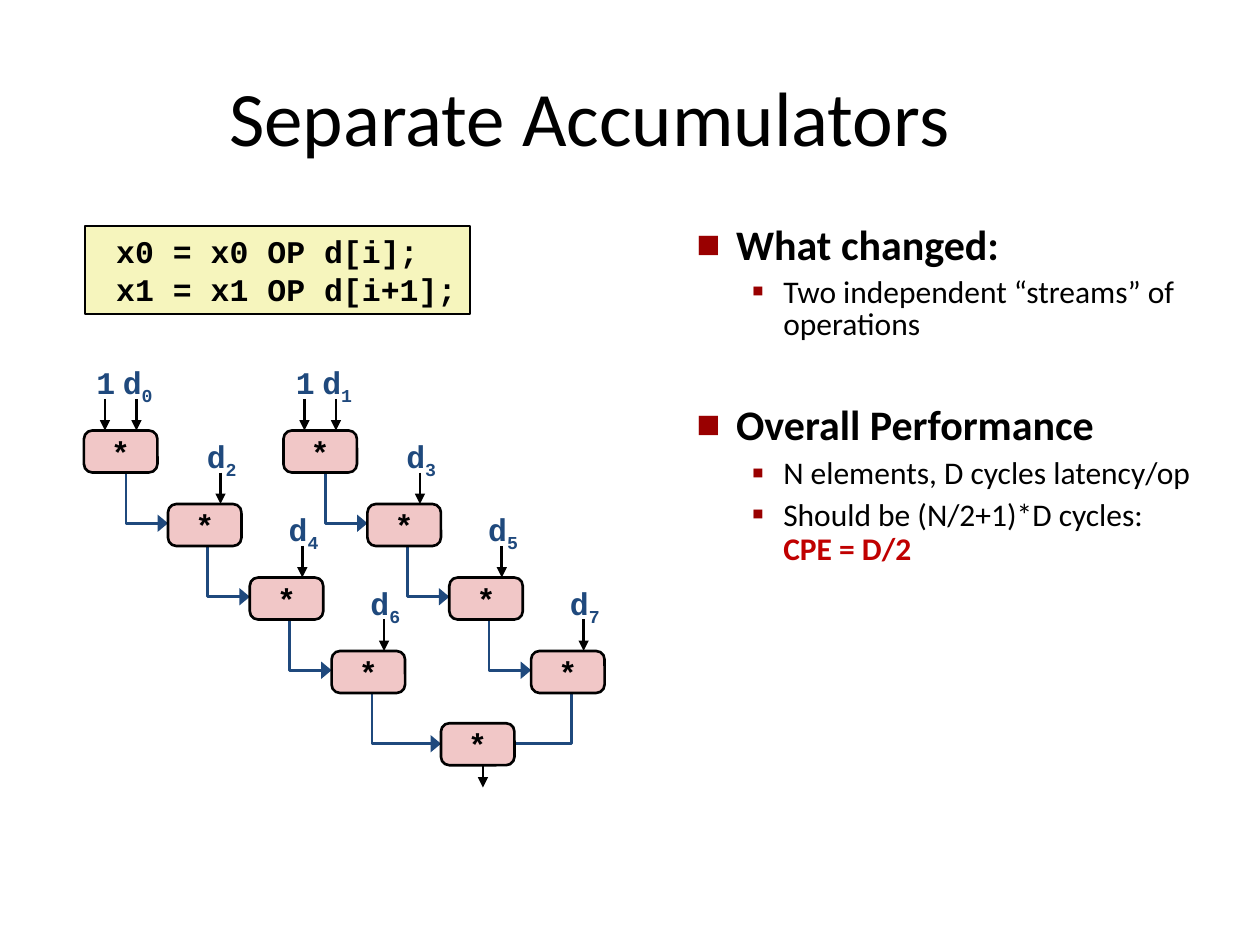
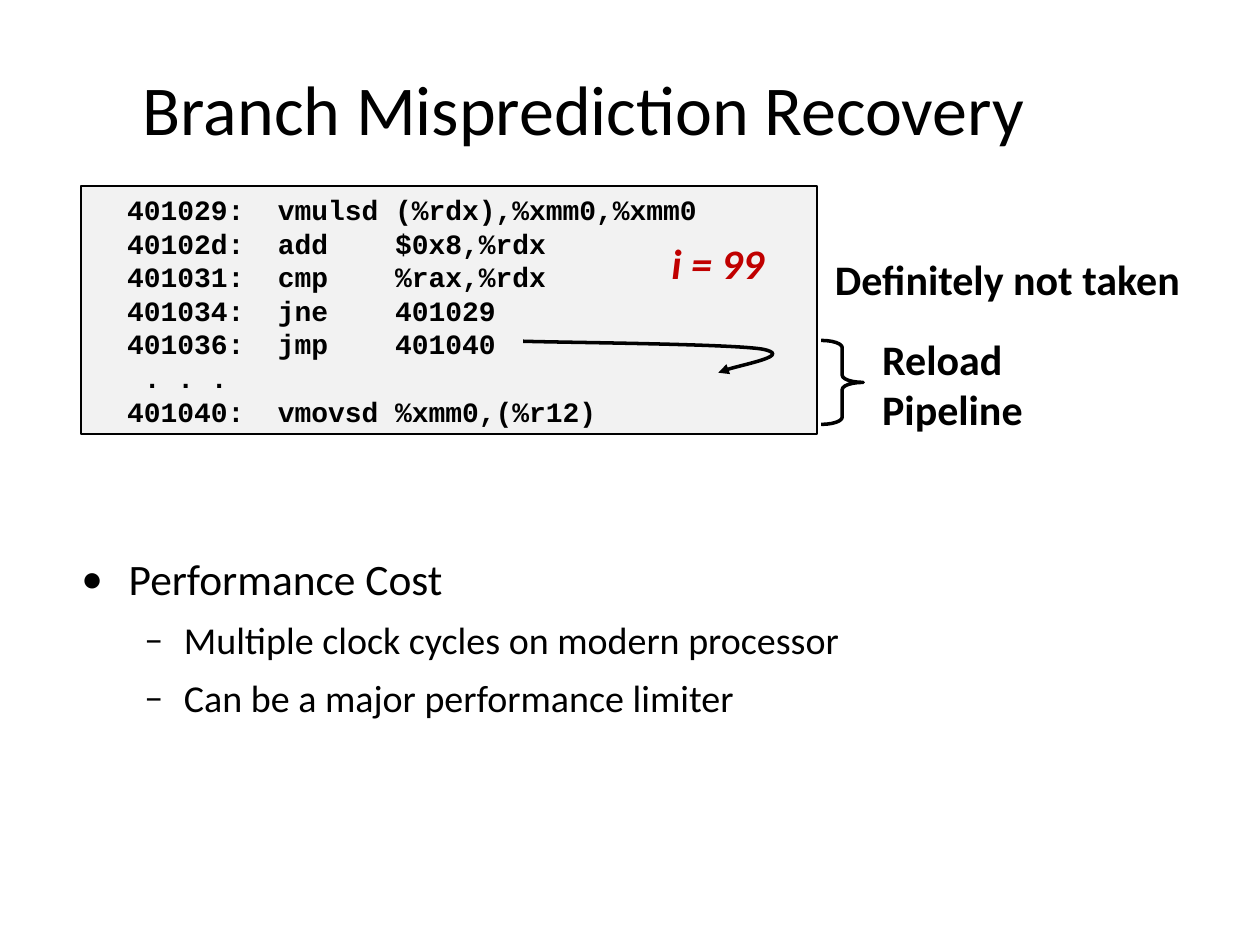
"""Build two slides on separate accumulators and branch misprediction recovery."""
from dataclasses import dataclass

from lxml.etree import SubElement
from pptx import Presentation
from pptx.dml.color import RGBColor
from pptx.enum.shapes import MSO_CONNECTOR, MSO_SHAPE
from pptx.enum.text import MSO_ANCHOR, PP_ALIGN
from pptx.oxml.ns import qn
from pptx.util import Pt


@dataclass(frozen=True)
class Theme:
    ink: str = "000000"
    navy: str = "1F497D"
    red: str = "C00000"
    bullet: str = "990000"
    pink: str = "F1C7C7"
    cream: str = "F6F5BD"
    grey: str = "F2F2F2"
    sans: str = "Calibri"
    mono: str = "Courier New"
    title_large: float = 44
    title_small: float = 40
    heading: float = 24
    detail: float = 18
    cost: float = 24.8
    cost_detail: float = 21.7
    code: float = 18
    listing: float = 16
    thin: float = 1
    medium: float = 1.5
    thick: float = 2


theme = Theme()


def write(box, paragraphs, font, wrap=False, anchor=MSO_ANCHOR.TOP, side=7.2):
    """Fill a box with (spans, paragraph format, bullet) entries."""
    frame = box.text_frame
    frame_format = {"word_wrap": wrap, "vertical_anchor": anchor, "margin_left": Pt(side),
                    "margin_right": Pt(side), "margin_top": Pt(3.6), "margin_bottom": Pt(3.6)}
    for name, value in frame_format.items():
        setattr(frame, name, value)
    for index, (spans, para_format, bullet) in enumerate(paragraphs):
        para = frame.paragraphs[0] if index == 0 else frame.add_paragraph()
        if bullet:
            properties = para._p.get_or_add_pPr()
            properties.set("marL", str(Pt(bullet["left"])))
            properties.set("indent", str(-Pt(bullet["hang"])))
            color = SubElement(properties, qn("a:buClr"))
            SubElement(color, qn("a:srgbClr"), val=bullet["color"])
            SubElement(properties, qn("a:buSzPct"), val=str(bullet["percent"] * 1000))
            SubElement(properties, qn("a:buFont"), typeface=theme.sans)
            SubElement(properties, qn("a:buChar"), char=bullet["char"])
        for name, value in {"alignment": PP_ALIGN.LEFT, **para_format}.items():
            setattr(para, name, value)
        for text, changes in spans:
            span = para.add_run()
            span.text = text.rstrip("\n")
            look = {**font, **changes}
            span.font.color.rgb = RGBColor.from_string(look.pop("color", theme.ink))
            if look.pop("subscript", False):
                span._r.get_or_add_rPr().set("baseline", "-25000")
            span.font.size = Pt(look.pop("size"))
            for name, value in look.items():
                setattr(span.font, name, value)
            if text.endswith("\n"):
                para.add_line_break()


def outline(shape, color, weight, head=None, fill=None):
    """Set line, arrowhead width and fill, and remove the shadow."""
    shape.line.color.rgb = RGBColor.from_string(color)
    shape.line.width = Pt(weight)
    if head:
        SubElement(shape.line._get_or_add_ln(), qn("a:tailEnd"), type="triangle", w=head)
    if fill:
        shape.fill.solid()
        shape.fill.fore_color.rgb = RGBColor.from_string(fill)
    elif hasattr(shape, "fill"):
        shape.fill.background()
    SubElement(shape._element.spPr, qn("a:effectLst"))


deck = Presentation()
deck.slide_width, deck.slide_height = Pt(720), Pt(540)
centred = {"alignment": PP_ALIGN.CENTER}
code_font = {"name": theme.mono, "size": theme.code, "bold": True}
operand_font = {**code_font, "color": theme.navy}
heading_font = {"name": theme.sans, "size": theme.heading, "bold": True}

titles = [("Separate Accumulators", theme.title_large, (38, 36, 598, 60)),
          ("Branch Misprediction Recovery", theme.title_small, (36, 39, 595, 45))]
slides = []
for text, size, place in titles:
    slide = deck.slides.add_slide(deck.slide_layouts[6])
    title = slide.shapes.add_textbox(*map(Pt, place))
    write(title, [([(text, {})], centred, None)], {"name": theme.sans, "size": size},
          wrap=True, anchor=MSO_ANCHOR.MIDDLE)
    slides.append(slide)
accumulators, recovery = (slide.shapes for slide in slides)

code_boxes = [
    (accumulators, (48.5, 129, 220, 50.5), theme.cream, theme.code,
     [" x0 = x0 OP d[i];", " x1 = x1 OP d[i+1];"]),
    (recovery, (46.5, 106.5, 420.5, 141.5), theme.grey, theme.listing,
     ["  401029:  vmulsd (%rdx),%xmm0,%xmm0",
      "  40102d:  add    $0x8,%rdx",
      "  401031:  cmp    %rax,%rdx",
      "  401034:  jne    401029",
      "  401036:  jmp    401040",
      "   . . .",
      "  401040:  vmovsd %xmm0,(%r12)"]),
]
for shapes, place, fill, size, lines in code_boxes:
    code_box = shapes.add_shape(MSO_SHAPE.RECTANGLE, *map(Pt, place))
    outline(code_box, theme.ink, theme.thin, fill=fill)
    write(code_box, [([(line, {})], {}, None) for line in lines], {**code_font, "size": size})

node_width, node_height = 42, 24
chain_lefts = (48, 162)
node_offsets = (0, 48, 94.75, 141.5)
first_top, row_step, drop = 246, 42, 18
merge_left, merge_top = 252, 413.25
merge_middle = 425

nodes = [(merge_left, merge_top)]
arrows = [(276, 432, 450)]
operands = []
elbows = []
for chain, chain_left in enumerate(chain_lefts):
    for row, offset in enumerate(node_offsets):
        left, top = chain_left + offset, first_top + row * row_step
        nodes.append((left, top))
        arrows.append((left + 30, top - drop, top))
        operands.append((left + 18.5, top - 42, 24.5,
                         [("d", {}), (str(2 * row + chain), {"subscript": True})]))
        if row == 0:
            arrows.append((left + 12, top - drop, top))
            operands.append((left + 3.5, top - 42, 18, [("1", {})]))
        else:
            elbows.append((left - 24, top - drop, top + 11, left, "lg"))
    merge_edge = merge_left + chain * node_width
    elbows.append((left + 23, top + node_height, merge_middle, merge_edge,
                   "lg" if chain == 0 else None))

for x, start, end in arrows:
    arrow = accumulators.add_connector(MSO_CONNECTOR.STRAIGHT, Pt(x), Pt(start), Pt(x), Pt(end))
    outline(arrow, theme.ink, theme.medium, head="med")
for x, start, bend, end, head in elbows:
    builder = accumulators.build_freeform(Pt(x), Pt(start))
    builder.add_line_segments([(Pt(x), Pt(bend)), (Pt(end), Pt(bend))], close=False)
    outline(builder.convert_to_shape(), theme.navy, theme.medium, head=head)
for left, top in nodes:
    node = accumulators.add_shape(MSO_SHAPE.ROUNDED_RECTANGLE, Pt(left), Pt(top),
                                  Pt(node_width), Pt(node_height))
    node.adjustments[0] = 0.2
    outline(node, theme.ink, theme.medium, fill=theme.pink)
    write(node, [([("*", {})], centred, None)], code_font, anchor=MSO_ANCHOR.MIDDLE)
for left, top, width, spans in operands:
    operand = accumulators.add_textbox(Pt(left), Pt(top), Pt(width), Pt(31))
    write(operand, [(spans, centred, None)], operand_font, side=3.6)

square = {"left": 22.5, "hang": 22.5, "color": theme.bullet, "percent": 60, "char": "■"}
small_square = {"left": 49.5, "hang": 18, "color": theme.bullet, "percent": 110, "char": "▪"}
detail = {"size": theme.detail, "bold": False}
detail_format = {"level": 1, "line_spacing": 0.9, "space_before": Pt(4.5)}
notes = accumulators.add_textbox(Pt(391), Pt(126), Pt(311), Pt(246))
write(notes, [
    ([("What changed:", {})], {"line_spacing": 0.85}, square),
    ([("Two independent “streams” of operations", detail)],
     {**detail_format, "line_spacing": 0.85}, small_square),
    ([("Overall Performance", {})], {"line_spacing": 0.85, "space_before": Pt(37)}, square),
    ([("N elements, D cycles latency/op", detail)], detail_format, small_square),
    ([("Should be (N/2+1)*D cycles:\n", detail),
      ("CPE = D/2", {"size": theme.detail, "color": theme.red})], detail_format, small_square),
], heading_font, wrap=True)

dot = {"left": 27, "hang": 27, "color": theme.ink, "percent": 100, "char": "•"}
dash = {"left": 58.5, "hang": 22.5, "color": theme.ink, "percent": 100, "char": "–"}
cost_format = {"level": 1, "space_before": Pt(7)}
cost = recovery.add_textbox(Pt(39.5), Pt(312), Pt(631), Pt(108))
write(cost, [
    ([("Performance Cost", {"size": theme.cost})], {}, dot),
    ([("Multiple clock cycles on modern processor", {})], cost_format, dash),
    ([("Can be a major performance limiter", {})], cost_format, dash),
], {"name": theme.sans, "size": theme.cost_detail}, wrap=True)

callouts = [((376.5, 132, 76, 36), ["i = 99"], {"color": theme.red, "italic": True}),
            ((470, 141.25, 220, 36), ["Definitely not taken"], {}),
            ((497, 186.75, 104, 65), ["Reload", "Pipeline"], {})]
for place, lines, changes in callouts:
    callout = recovery.add_textbox(*map(Pt, place))
    write(callout, [([(line, changes)], {}, None) for line in lines], heading_font)

curve_points = [(322, 195.75), (417, 196.5), (435.5, 199.5),
                (453.5, 203), (415.5, 210), (410.5, 213)]
builder = recovery.build_freeform(Pt(299), Pt(195))
builder.add_line_segments([(Pt(x), Pt(y)) for x, y in curve_points], close=False)
jump = builder.convert_to_shape()
outline(jump, theme.ink, theme.thick, head="med")
segments = list(jump._element.iter(qn("a:lnTo")))
curve = segments[0].getparent()
for start in range(0, len(segments), 3):
    bezier = SubElement(curve, qn("a:cubicBezTo"))
    for segment in segments[start:start + 3]:
        bezier.append(segment[0])
        curve.remove(segment)

brace = recovery.add_shape(MSO_SHAPE.RIGHT_BRACE, Pt(469.25), Pt(194.5), Pt(24), Pt(48))
brace.adjustments[0] = 0.17
outline(brace, theme.ink, theme.thick)

deck.save("out.pptx")
